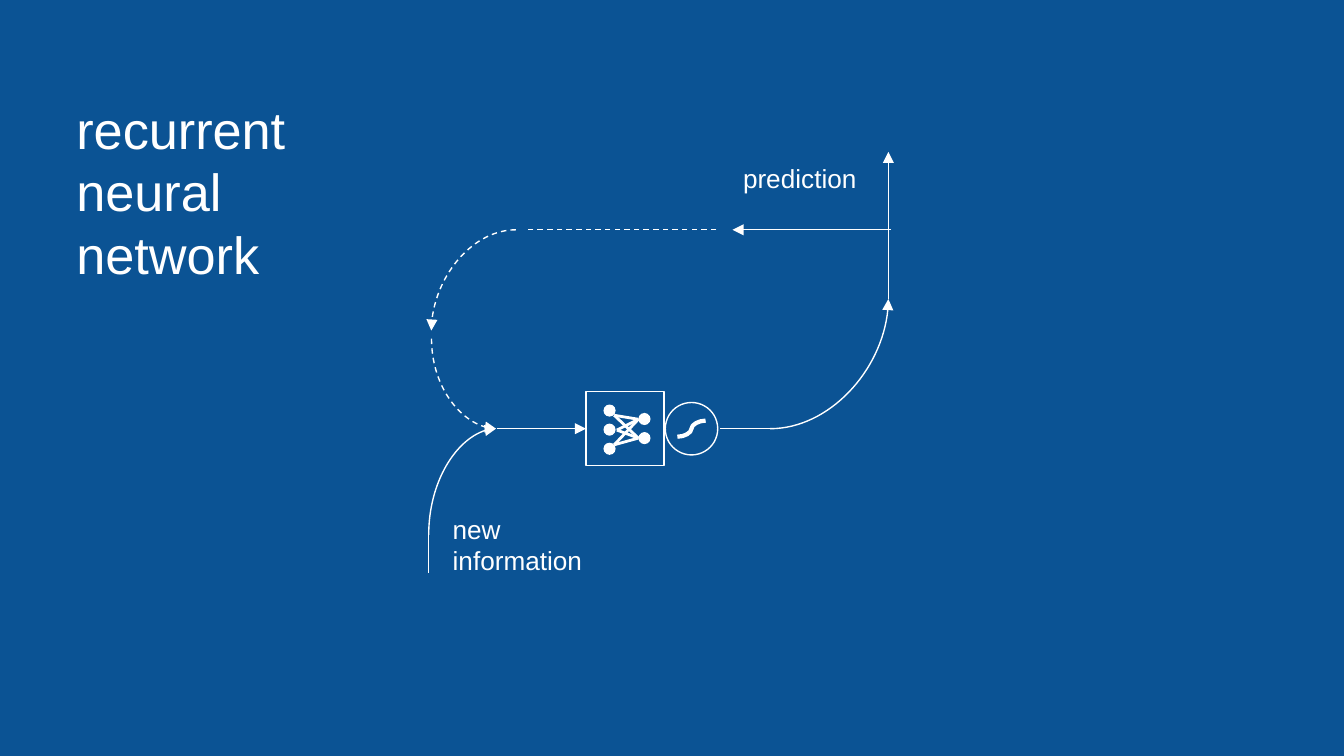
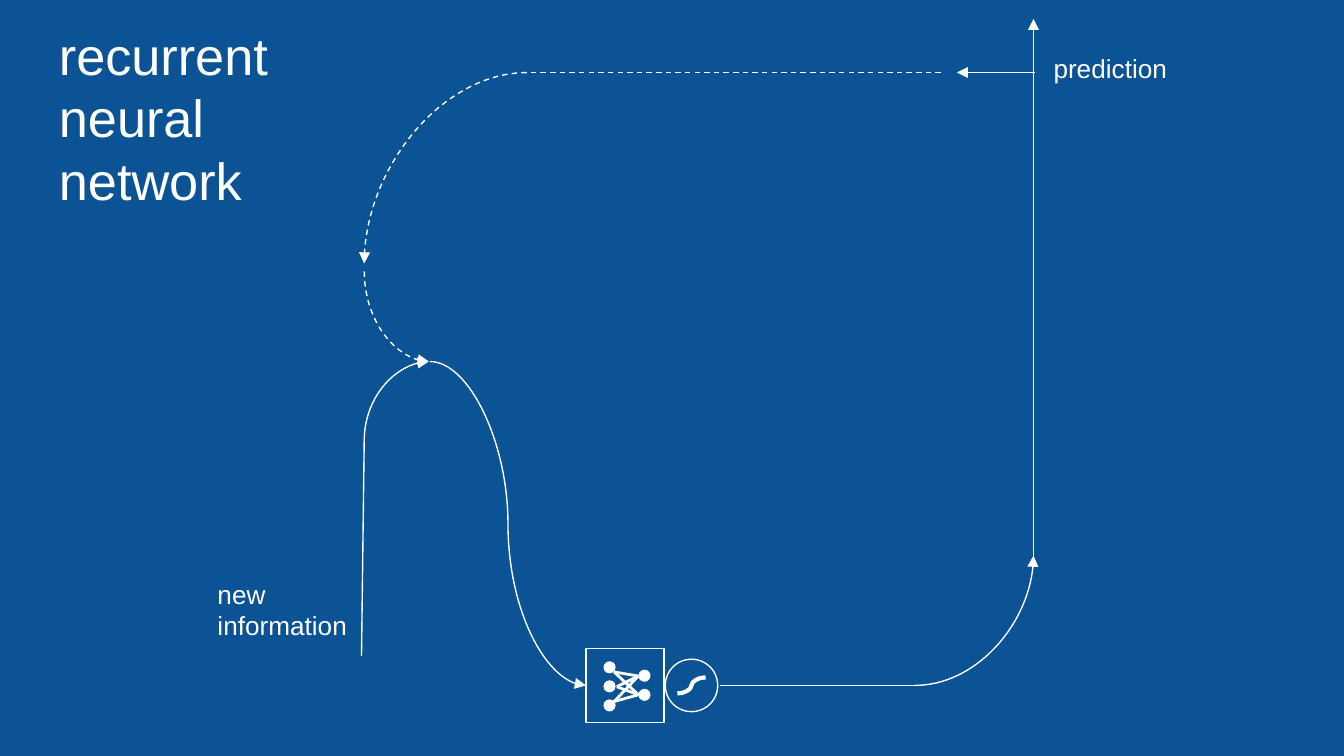
from dataclasses import dataclass
from itertools import product

from lxml.etree import SubElement
from pptx import Presentation
from pptx.dml.color import RGBColor
from pptx.enum.dml import MSO_LINE
from pptx.enum.shapes import MSO_CONNECTOR as CONN, MSO_SHAPE as SHAPE
from pptx.enum.text import MSO_ANCHOR
from pptx.oxml.ns import qn
from pptx.util import Inches, Pt


@dataclass(frozen=True)
class Theme:
    back: RGBColor = RGBColor(0x0B, 0x53, 0x94)
    ink: RGBColor = RGBColor(0xFF, 0xFF, 0xFF)
    font: str = "Arial"
    title: int = 28
    label: int = 14
    thin: float = 0.75
    link: float = 1.5
    bold: float = 2.25
    inset: float = 1


@dataclass(frozen=True)
class Loop:
    """Places of one network loop, in grid columns and rows."""
    title: tuple          # left, top, width, height
    prediction: tuple     # left, top
    information: tuple    # left, top
    axis: float           # row of the cell's centre
    exit_x: float         # column where the output starts to bend
    top: float            # row where the output ends
    feedback: tuple       # row, column of its start, column of its arrowhead
    dash_end: float       # column where the straight dashes end
    bend: tuple           # column and row where the dashed bend starts
    left: float           # column of the feedback's left side
    turn: float           # row where the dashed bend ends
    entry: tuple          # new information: bend start, then foot


T = Theme()
COLS, ROWS = 100, 56.25
WIDTH, HEIGHT = Inches(10), Inches(5.625)

LOOPS = [
    Loop(title=(4.7, 6.2, 19, 21.5), prediction=(54.3, 11.1),
         information=(32.7, 37.2), axis=31.9, exit_x=57.3, top=11.3,
         feedback=(17.1, 66.3, 54.5), dash_end=39, bend=(38.4, 17.1),
         left=32.1, turn=24.6, entry=((31.9, 39.8), (31.9, 42.6))),
    Loop(title=(3.4, 0.7, 93.2, 6.3), prediction=(77.4, 2.9),
         information=(15.2, 42), axis=51, exit_x=68.1, top=1.4,
         feedback=(5.4, 77, 71.2), dash_end=39.2, bend=(39.2, 5.4),
         left=27.1, turn=19.6, entry=((27.1, 32.8), (26.9, 48.8))),
]


def gx(col):
    return round(WIDTH * col / COLS)


def gy(row):
    return round(HEIGHT * row / ROWS)


# Drawing helpers

def add_line(shapes, start, end, width=T.thin, kind=CONN.STRAIGHT,
             arrow=False, dash=False):
    c = shapes.add_connector(kind, gx(start[0]), gy(start[1]),
                             gx(end[0]), gy(end[1]))
    c.line.color.rgb = T.ink
    c.line.width = Pt(width)
    if dash:
        c.line.dash_style = MSO_LINE.DASH
    sp_pr = c._element.spPr
    if arrow:
        SubElement(sp_pr.find(qn("a:ln")), qn("a:tailEnd"), type="triangle")
    SubElement(sp_pr, qn("a:effectLst"))
    return c


def add_bend(shapes, start, end, upright=False, **style):
    """Quarter curve that leaves sideways, or up or down if upright."""
    if upright:
        (x1, y1), (x2, y2) = start, end
        cx, cy = (x1 + x2) / 2, (y1 + y2) / 2
        dx, dy = (x2 - x1) / 2, (y2 - y1) / 2
        start, end = (cx + dy, cy - dx), (cx - dy, cy + dx)
    c = add_line(shapes, start, end, kind=CONN.CURVE, arrow=True, **style)
    c._element.spPr.find(qn("a:prstGeom")).set("prst", "curvedConnector2")
    if upright:
        c.rotation = 270


def add_outline(shapes, kind, x, y, w, h, filled=False):
    sp = shapes.add_shape(kind, gx(x), gy(y), gx(w), gy(h))
    sp.shadow.inherit = False
    if filled:
        sp.fill.solid()
        sp.fill.fore_color.rgb = T.ink
        sp.line.fill.background()
    else:
        sp.fill.background()
        sp.line.color.rgb = T.ink
        sp.line.width = Pt(T.thin)


def add_text(slide, box, lines, size):
    x, y, w, h = box
    tf = slide.shapes.add_textbox(gx(x), gy(y), gx(w), gy(h)).text_frame
    tf.word_wrap = True
    tf.vertical_anchor = MSO_ANCHOR.TOP
    tf.margin_left = tf.margin_right = gx(T.inset)
    tf.margin_top = tf.margin_bottom = gy(T.inset)
    for i, text in enumerate(lines):
        p = tf.paragraphs[0] if i == 0 else tf.add_paragraph()
        p.text = text
        p.font.name = T.font
        p.font.size = Pt(size)
        p.font.color.rgb = T.ink


# Regions

def draw_cell(slide, x, y):
    """Network icon and activation icon, from their top left corner."""
    net = slide.shapes.add_group_shape().shapes
    dot, step = 0.9, 1.42
    for col, row, count in ((1.3, 0.95, 3), (3.9, 1.58, 2)):
        for i in range(count):
            add_outline(net, SHAPE.OVAL, x + col, y + row + i * step,
                        dot, dot, filled=True)
    starts = ((2.1, 1.75), (2.1, 3.95), (2.3, 2.85))
    ends = ((3.9, 2.05), (3.9, 3.45))
    for (x1, y1), (x2, y2) in product(starts, ends):
        add_line(net, (x + x1, y + y1), (x + x2, y + y2), T.link)
    add_outline(net, SHAPE.RECTANGLE, x, y, 5.8, 5.5)

    squash = slide.shapes.add_group_shape().shapes
    add_outline(squash, SHAPE.OVAL, x + 5.9, y + 0.8, 3.9, 3.9)
    add_line(squash, (x + 6.8, y + 3.35), (x + 8.9, y + 2.15), T.bold,
             CONN.CURVE)


def draw_output(slide, loop):
    shapes = slide.shapes
    out_x, out_y = loop.exit_x + 8.8, loop.axis - 9.65
    add_line(shapes, (loop.exit_x, loop.axis), (53.6, loop.axis))
    add_bend(shapes, (loop.exit_x, loop.axis), (out_x, out_y))
    add_line(shapes, (out_x, out_y), (out_x, loop.top), arrow=True)
    add_text(slide, (*loop.prediction, 11.2, 4.4), ["prediction"], T.label)


def draw_feedback(slide, loop, join):
    shapes = slide.shapes
    row, start, head = loop.feedback
    add_line(shapes, (start, row), (head, row), arrow=True)
    add_line(shapes, (head - 1.2, row), (loop.dash_end, row), dash=True)
    add_bend(shapes, loop.bend, (loop.left, loop.turn), dash=True)
    add_bend(shapes, (loop.left, loop.turn + 0.6), join, upright=True,
             dash=True)


def draw_input(slide, loop, join, cell_x):
    shapes = slide.shapes
    bend, foot = loop.entry
    add_line(shapes, (join[0] + 0.1, join[1]), (cell_x, loop.axis),
             kind=CONN.CURVE, arrow=True)
    add_bend(shapes, bend, join, upright=True)
    add_line(shapes, bend, foot)
    add_text(slide, (*loop.information, 12, 7.8), ["new information"], T.label)


def add_loop_slide(prs, loop):
    slide = prs.slides.add_slide(prs.slide_layouts[6])
    slide.background.fill.solid()
    slide.background.fill.fore_color.rgb = T.back
    cell_x = 43.6
    join = (loop.left + 4.8, loop.turn + 7.3)
    draw_cell(slide, cell_x, loop.axis - 2.75)
    draw_input(slide, loop, join, cell_x)
    draw_output(slide, loop)
    draw_feedback(slide, loop, join)
    add_text(slide, loop.title, ["recurrent", "neural", "network"], T.title)


def main():
    prs = Presentation()
    prs.slide_width, prs.slide_height = WIDTH, HEIGHT
    for loop in LOOPS:
        add_loop_slide(prs, loop)
    prs.save("out.pptx")


if __name__ == "__main__":
    main()
